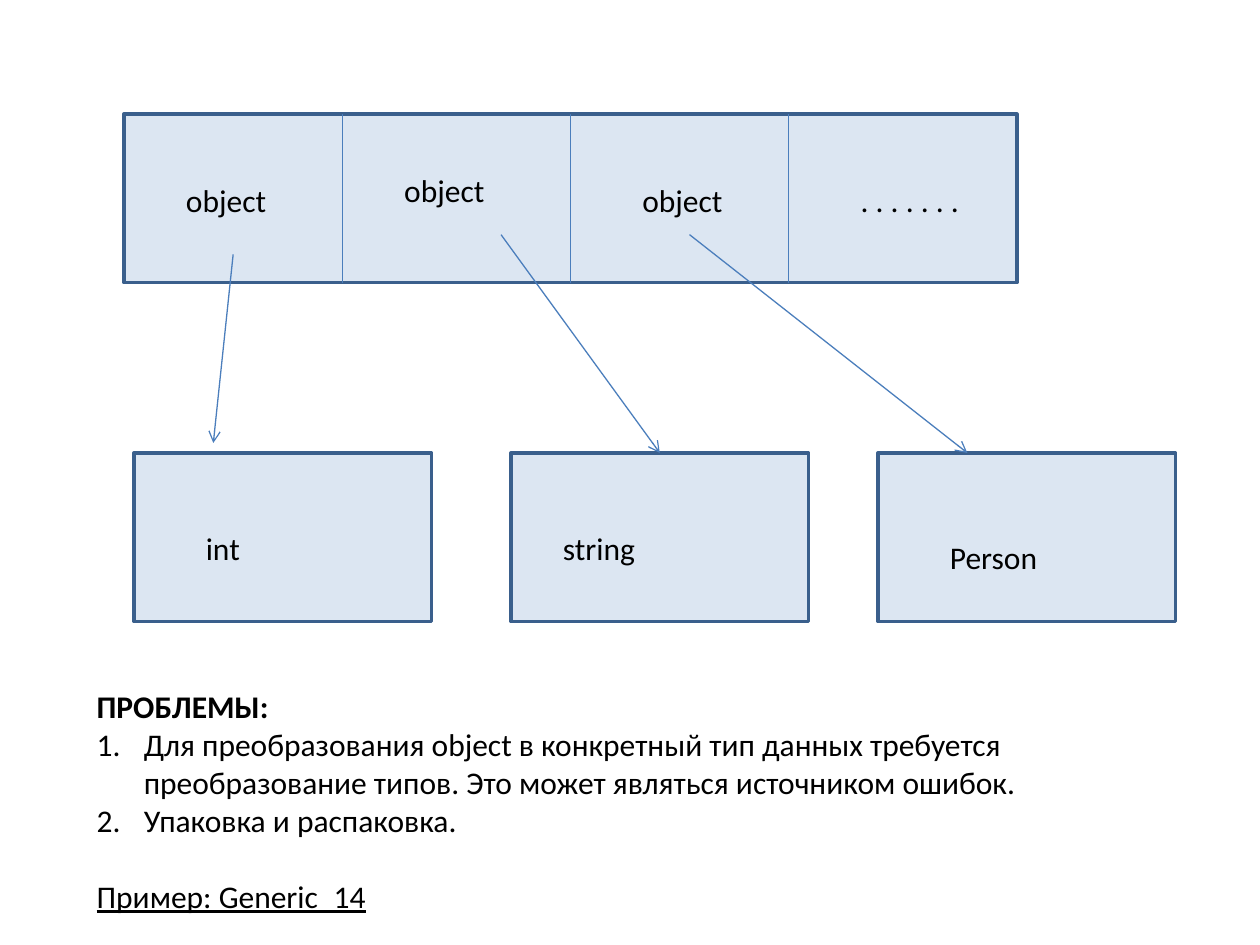
"""Build a slide showing an array of objects that refer to values of several types."""
from dataclasses import dataclass
from typing import Optional

import pptx
import pptx.dml.color
import pptx.enum.shapes
import pptx.enum.text
import pptx.oxml
import pptx.oxml.ns
import pptx.util
from pptx.util import Cm

PALE = pptx.dml.color.RGBColor(0xDC, 0xE6, 0xF2)
NAVY = pptx.dml.color.RGBColor(0x3A, 0x5F, 0x8C)
BLUE = pptx.dml.color.RGBColor(0x4B, 0x7E, 0xBC)
BLACK = pptx.dml.color.RGBColor(0, 0, 0)
TALL = 3.4
TOP = 2.3
ROW = 9.13


@dataclass
class Box:
    left: float
    top: float
    width: float


@dataclass
class Line:
    x1: float
    y1: float
    x2: float
    y2: float
    arrow: bool = False
    start: Optional[int] = None
    end: Optional[int] = None


@dataclass
class Label:
    text: str
    left: float
    top: float
    width: float


@dataclass
class Item:
    text: str
    bold: bool = False
    under: bool = False
    number: bool = False
    gap: float = 0


BOXES = [Box(2.5, TOP, 18)] + [Box(x, ROW, 6) for x in (2.7, 10.3, 17.7)]

LINES = [
    Line(6.9, TOP, 6.9, TOP + TALL),
    Line(11.5, TOP, 11.5, TOP + TALL, start=0, end=0),
    Line(15.9, TOP, 15.9, TOP + TALL),
    Line(4.7, 5.13, 4.3, 8.93, arrow=True),
    Line(10.1, 4.73, 13.3, ROW, arrow=True, end=2),
    Line(13.9, 4.73, 19.5, ROW, arrow=True),
]

LABELS = [
    Label(". . . . . . .", 17.1, 3.53, 2.6),
    Label("object", 3.5, 3.53, 2.4),
    Label("object", 7.9, 3.33, 2.4),
    Label("object", 12.7, 3.53, 2.4),
    Label("int", 3.9, 10.53, 3.4),
    Label("string", 11.1, 10.53, 4.6),
    Label("Person", 18.9, 10.73, 3.6),
]

ITEMS = [
    Item("ПРОБЛЕМЫ:", bold=True),
    Item("Для преобразования object в конкретный тип данных требуется "
         "преобразование типов. Это может являться источником ошибок.", number=True),
    Item("Упаковка и распаковка.", number=True),
    Item("Пример: Generic_14", under=True, gap=22),
]


def add_node(parent, tag: str, **attrs: str) -> None:
    node = pptx.oxml.parse_xml(f"<a:{tag} {pptx.oxml.ns.nsdecls('a')}/>")
    for key, value in attrs.items():
        node.set(key, value)
    parent.append(node)


def draw_box(slide, box: Box):
    shape = slide.shapes.add_shape(
        pptx.enum.shapes.MSO_SHAPE.RECTANGLE,
        Cm(box.left), Cm(box.top), Cm(box.width), Cm(TALL))
    shape.shadow.inherit = False
    shape.fill.solid()
    shape.fill.fore_color.rgb = PALE
    shape.line.color.rgb = NAVY
    shape.line.width = pptx.util.Pt(2)
    return shape


def draw_line(slide, line: Line, shapes: list) -> None:
    link = slide.shapes.add_connector(
        pptx.enum.shapes.MSO_CONNECTOR.STRAIGHT,
        Cm(line.x1), Cm(line.y1), Cm(line.x2), Cm(line.y2))
    link.line.color.rgb = BLUE
    link.line.width = pptx.util.Pt(0.75)
    if line.arrow:
        add_node(link.line._get_or_add_ln(), "tailEnd", type="arrow")
    add_node(link._element.spPr, "effectLst")
    if line.start is not None:
        link.begin_connect(shapes[line.start], 0)
    if line.end is not None:
        link.end_connect(shapes[line.end], 0 if line.arrow else 2)


def draw_text(slide, left: float, top: float, width: float, height: float,
              items: list[Item]) -> None:
    frame = slide.shapes.add_textbox(Cm(left), Cm(top), Cm(width), Cm(height)).text_frame
    frame.word_wrap = True
    frame.auto_size = pptx.enum.text.MSO_AUTO_SIZE.SHAPE_TO_FIT_TEXT
    for index, item in enumerate(items):
        para = frame.paragraphs[0] if index == 0 else frame.add_paragraph()
        para.text = item.text
        if item.gap:
            para.space_before = pptx.util.Pt(item.gap)
        if item.number:
            props = para._p.get_or_add_pPr()
            props.set("marL", str(Cm(0.95)))
            props.set("indent", str(-Cm(0.95)))
            add_node(props, "buFont", typeface="+mj-lt")
            add_node(props, "buAutoNum", type="arabicPeriod")
        font = para.font
        font.name = "Calibri"
        font.size = pptx.util.Pt(18)
        font.color.rgb = BLACK
        font.bold = item.bold
        font.underline = item.under


def main() -> None:
    deck = pptx.Presentation()
    deck.slide_width, deck.slide_height = Cm(25.4), Cm(19.05)
    slide = deck.slides.add_slide(deck.slide_layouts[6])
    shapes = [draw_box(slide, box) for box in BOXES]
    for line in LINES:
        draw_line(slide, line, shapes)
    for label in LABELS:
        draw_text(slide, label.left, label.top, label.width, 1.02, [Item(label.text)])
    draw_text(slide, 1.7, 13.73, 22, 4.88, ITEMS)
    deck.save("out.pptx")


if __name__ == "__main__":
    main()
